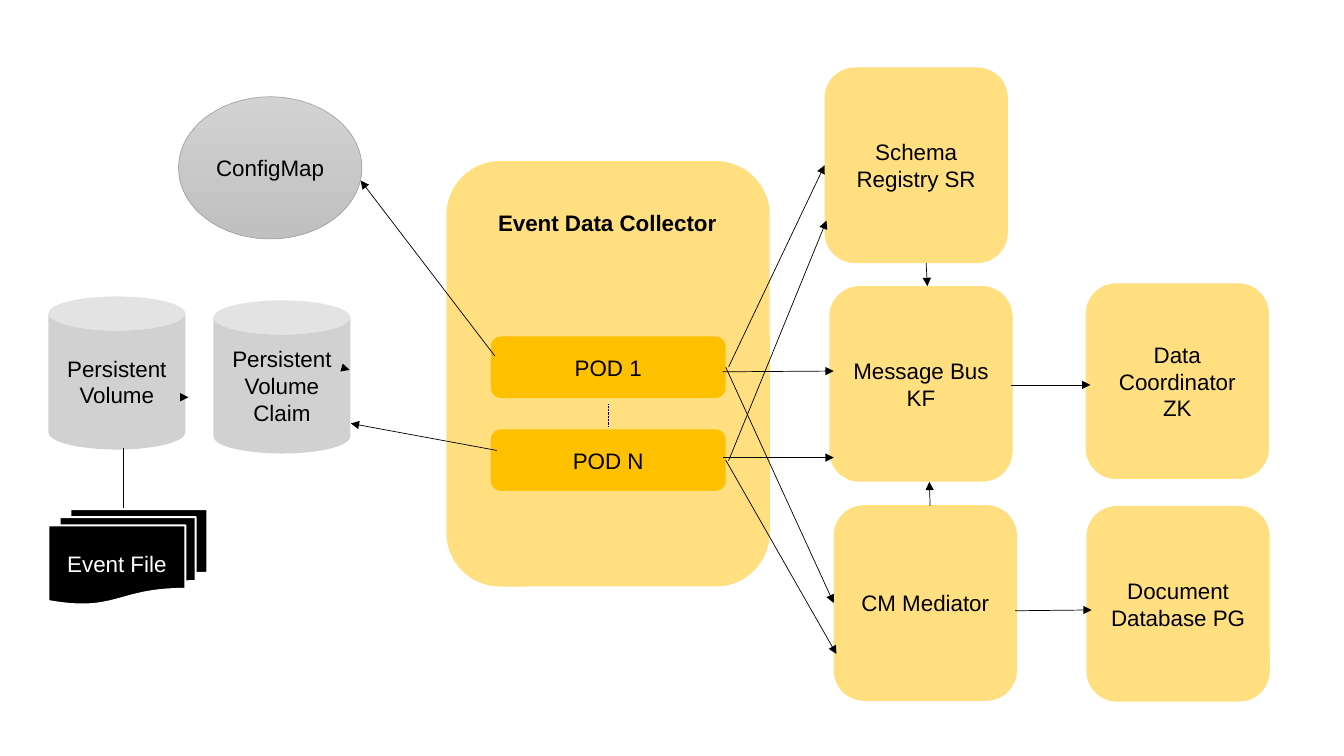
"""Build the event data collector architecture slide."""
from lxml import etree
from pptx import Presentation
from pptx.dml.color import RGBColor
from pptx.enum.dml import MSO_LINE
from pptx.enum.shapes import MSO_CONNECTOR, MSO_SHAPE
from pptx.enum.text import MSO_ANCHOR, PP_ALIGN
from pptx.oxml.ns import qn
from pptx.util import Cm, Pt

AMBER = RGBColor(0xFF, 0xC0, 0x00)
GRAY = RGBColor(0xA5, 0xA5, 0xA5)
LIGHT = RGBColor(0xD2, 0xD2, 0xD2)
SILVER = RGBColor(0xC0, 0xC0, 0xC0)
BLACK = RGBColor(0x00, 0x00, 0x00)
WHITE = RGBColor(0xFF, 0xFF, 0xFF)

ROUND = MSO_SHAPE.ROUNDED_RECTANGLE
CAN = MSO_SHAPE.CAN
OVAL = MSO_SHAPE.OVAL
FILES = MSO_SHAPE.FLOWCHART_MULTIDOCUMENT
STRAIGHT = MSO_CONNECTOR.STRAIGHT
DOTTED = MSO_LINE.ROUND_DOT
MIDDLE = MSO_ANCHOR.MIDDLE
CENTER = PP_ALIGN.CENTER
LEFT, RIGHT = 1, 3

deck = Presentation()
deck.slide_width, deck.slide_height = Cm(33.87), Cm(19.05)
slide = deck.slides.add_slide(deck.slide_layouts[6])
shapes = slide.shapes


def write(shape, text, color=BLACK, bold=False, size=16):
    frame = shape.text_frame
    frame.word_wrap = True
    frame.vertical_anchor = MIDDLE
    para = frame.paragraphs[0]
    para.alignment = CENTER
    run = para.add_run()
    run.text = text
    run.font.name = "Arial"
    run.font.size = Pt(size)
    run.font.bold = bold
    run.font.color.rgb = color


def draw(kind, left, top, width, height, fill, clear=False):
    shape = shapes.add_shape(kind, Cm(left), Cm(top), Cm(width), Cm(height))
    shape.shadow.inherit = False
    shape.line.fill.background()
    shape.fill.solid()
    shape.fill.fore_color.rgb = fill
    if clear:
        tint = shape.fill._xPr.find(".//" + qn("a:srgbClr"))
        etree.SubElement(tint, qn("a:alpha"), val="50000")
    return shape


draw(ROUND, 11.25, 4.06, 8.15, 10.72, AMBER, clear=True)
title = shapes.add_textbox(Cm(10.11), Cm(5.13), Cm(10.39), Cm(0.94))
write(title, "Event Data Collector", bold=True)

tiles = {}
for text, left, top in [
    ("CM Mediator", 21.01, 12.73),
    ("Message Bus KF", 20.9, 7.21),
    ("Data Coordinator ZK", 27.36, 7.14),
    ("Schema Registry SR", 20.78, 1.7),
    ("Document Database PG", 27.38, 12.75),
]:
    tiles[text] = draw(ROUND, left, top, 4.62, 4.93, AMBER, clear=True)
    write(tiles[text], text)

pods = []
for text, top in [("POD 1", 8.48), ("POD N", 10.82)]:
    pod = draw(ROUND, 12.37, top, 5.92, 1.55, AMBER)
    write(pod, text)
    pods.append(pod)

for text, left, top in [
    ("Persistent Volume Claim", 5.38, 7.57),
    ("Persistent Volume", 1.22, 7.47),
]:
    write(draw(CAN, left, top, 3.45, 3.86, GRAY, clear=True), text)

config = draw(OVAL, 4.5, 2.44, 4.62, 3.58, LIGHT)
config.fill.gradient()
config.fill.gradient_angle = 270
for stop, color in zip(config.fill.gradient_stops, (LIGHT, SILVER)):
    stop.color.rgb = color
config.line.color.rgb = GRAY
config.line.width = Pt(0.5)
write(config, "ConfigMap")

event = draw(FILES, 1.22, 12.83, 4.01, 2.41, BLACK)
event.line.color.rgb = WHITE
event.line.width = Pt(1.5)
write(event, "Event File", color=WHITE)

first, last = pods
schema, bridge = tiles["Schema Registry SR"], tiles["CM Mediator"]
arrows = [
    ((18.21, 9.37), (21.01, 9.35)),
    ((18.21, 11.53), (21.01, 11.53)),
    ((25.48, 9.7), (27.48, 9.7)),
    ((18.36, 9.25), (schema, LEFT)),
    ((18.36, 11.61), (20.83, 5.56)),
    ((8.74, 9.3), (8.81, 9.32)),
    ((12.52, 11.35), (8.84, 10.67)),
    ((4.72, 10.01), (4.75, 10.01)),
    ((first, RIGHT), (bridge, LEFT)),
    ((last, RIGHT), (21.08, 16.48)),
    ((23.44, 12.75), (23.42, 12.14)),
    ((23.34, 6.63), (23.37, 7.21)),
    ((12.47, 8.97), (9.09, 4.55)),
    ((25.58, 15.39), (27.51, 15.37)),
]
plain = [((3.12, 11.3), (3.12, 12.8))]
dots = [((15.34, 10.19), (15.34, 10.74))]

for start, end in arrows + plain + dots:
    spots = [(0, 0) if side[0] in (first, last, schema, bridge) else side
             for side in (start, end)]
    (x1, y1), (x2, y2) = spots
    line = shapes.add_connector(STRAIGHT, Cm(x1), Cm(y1), Cm(x2), Cm(y2))
    if spots[0] != start:
        line.begin_connect(*start)
    if spots[1] != end:
        line.end_connect(*end)
    line.line.color.rgb = BLACK
    line.line.width = Pt(0.5)
    if (start, end) in dots:
        line.line.dash_style = DOTTED
    if (start, end) in arrows:
        etree.SubElement(line.line._get_or_add_ln(), qn("a:tailEnd"), type="triangle")
    etree.SubElement(line._element.spPr, qn("a:effectLst"))

deck.save("out.pptx")
